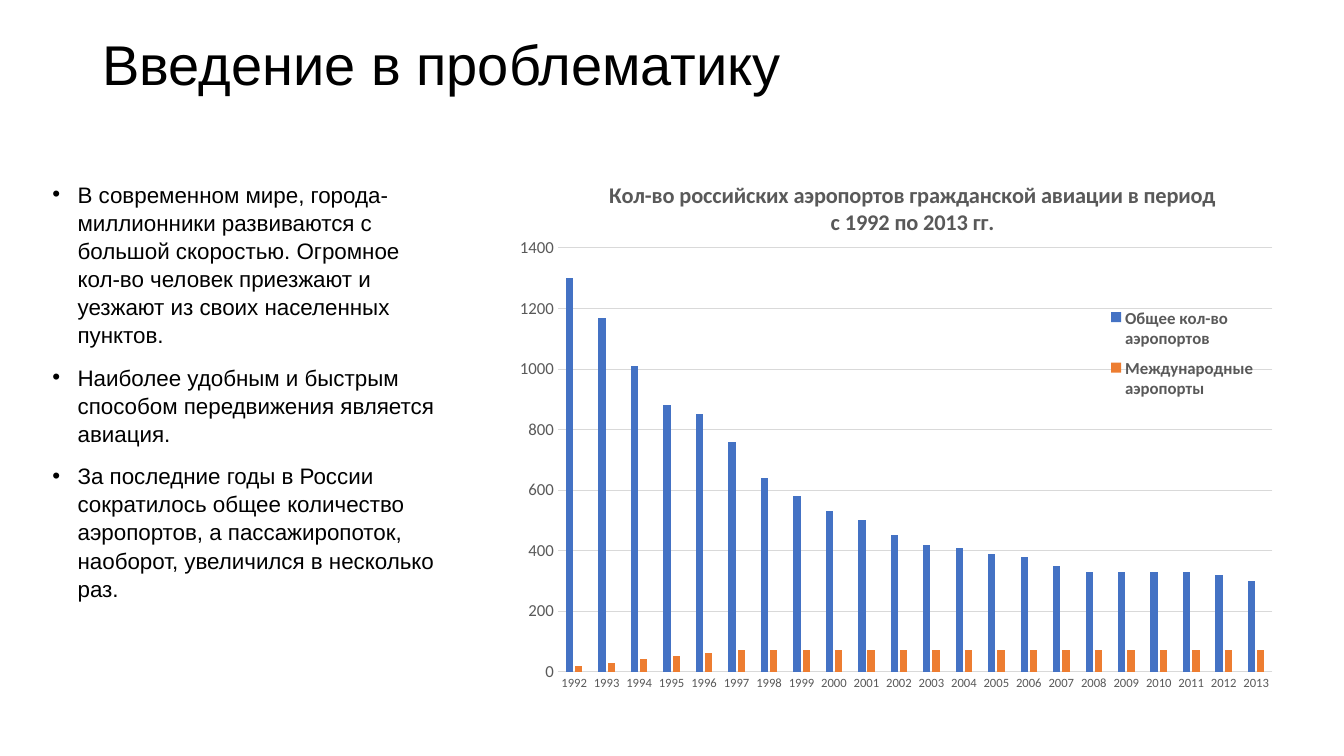
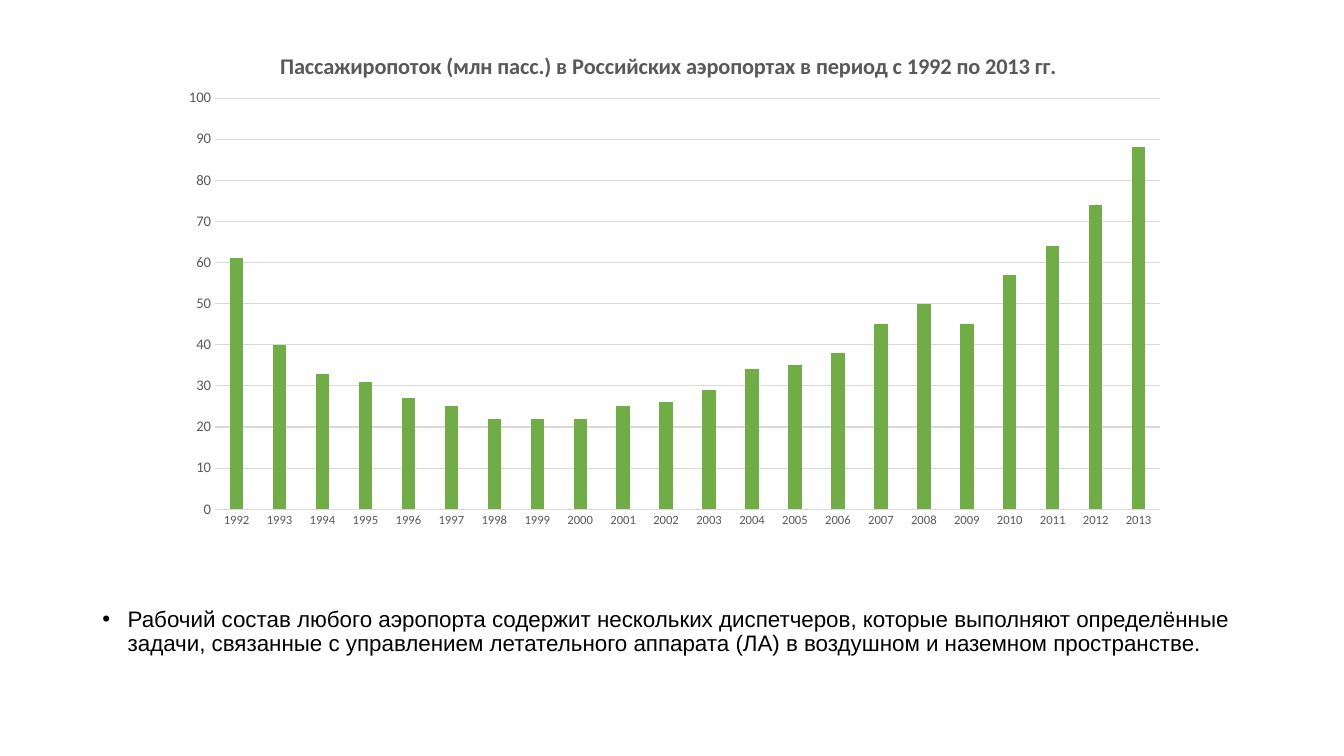
from lxml import etree
from pptx import Presentation
from pptx.chart import data as chart_data
from pptx.dml.color import RGBColor
from pptx.enum import chart as chart_enum, text
from pptx.oxml import ns
from pptx.util import Pt

BLACK = RGBColor(0x00, 0x00, 0x00)
GRAY = RGBColor(0x59, 0x59, 0x59)
LIGHT_GRAY = RGBColor(0xD9, 0xD9, 0xD9)
BLUE = RGBColor(0x44, 0x72, 0xC4)
ORANGE = RGBColor(0xED, 0x7D, 0x31)
GREEN = RGBColor(0x70, 0xAD, 0x47)

YEARS = [str(year) for year in range(1992, 2014)]
ALL_AIRPORTS = [1300, 1170, 1010, 880, 850, 760, 640, 580, 530, 500, 450,
                420, 410, 390, 380, 350, 330, 330, 330, 330, 320, 300]
INTERNATIONAL = [20, 30, 40, 50, 60] + [70] * 17
PASSENGERS = [61, 40, 33, 31, 27, 25, 22, 22, 22, 25, 26,
              29, 34, 35, 38, 45, 50, 45, 57, 64, 74, 88]


def style_font(font, name, size, color, bold=False):
    font.name, font.size, font.bold = name, Pt(size), bold
    font.color.rgb = color


def place_chart_part(part, index, **fractions):
    """Give a chart part a manual layout, in fractions of the chart's size."""
    for old in part.findall(ns.qn("c:layout")):
        part.remove(old)
    layout = etree.Element(ns.qn("c:layout"))
    manual = etree.SubElement(layout, ns.qn("c:manualLayout"))
    settings = {"xMode": "edge", "yMode": "edge", **fractions}
    if part.tag == ns.qn("c:plotArea"):
        settings = {"layoutTarget": "inner", **settings}
    for key, value in settings.items():
        etree.SubElement(manual, ns.qn(f"c:{key}")).set("val", str(value))
    part.insert(index, layout)


class Deck:
    TEXT_FONT = "Arial"
    CHART_FONT = "Calibri"
    INDENT = Pt(18)

    def __init__(self):
        self.deck = Presentation()
        self.deck.slide_width, self.deck.slide_height = Pt(960), Pt(540)
        self.page = None

    def add_page(self):
        self.page = self.deck.slides.add_slide(self.deck.slide_layouts[1])

    def fit(self, box, bounds, anchor):
        box.left, box.top, box.width, box.height = map(Pt, bounds)
        frame = box.text_frame
        frame.word_wrap = True
        frame.auto_size = text.MSO_AUTO_SIZE.NONE
        frame.vertical_anchor = anchor
        return frame

    def title(self, wording=None):
        """Fill the title, or remove it when the slide has none."""
        box = self.page.shapes.title
        if wording is None:
            box.element.getparent().remove(box.element)
            return
        frame = self.fit(box, (66, 14.4, 828, 67.7), text.MSO_ANCHOR.MIDDLE)
        frame.text = wording
        para = frame.paragraphs[0]
        para.alignment = text.PP_ALIGN.LEFT
        para.line_spacing = 0.9
        style_font(para.font, self.TEXT_FONT, 40, BLACK)

    def bullets(self, items, bounds, line_spacing):
        frame = self.fit(self.page.placeholders[1], bounds, text.MSO_ANCHOR.TOP)
        frame.text = "\n".join(items)
        for para in frame.paragraphs:
            para.line_spacing = line_spacing
            para.space_before = Pt(10)
            style_font(para.font, self.TEXT_FONT, 16, BLACK)
            properties = para._p.get_or_add_pPr()
            properties.set("marL", str(self.INDENT))
            properties.set("indent", str(-self.INDENT))
            etree.SubElement(properties, ns.qn("a:buChar")).set("char", "•")
            # The bullet must precede the default run properties.
            defaults = properties.find(ns.qn("a:defRPr"))
            if defaults is not None:
                properties.append(defaults)

    def column_chart(self, heading, series, bounds, maximum, step,
                     value_size, heading_at, plot_at):
        """Add a column chart; series is a list of (name, values, color)."""
        data = chart_data.CategoryChartData()
        data.categories = YEARS
        for name, values, _ in series:
            data.add_series(name, values)
        chart = self.page.shapes.add_chart(
            chart_enum.XL_CHART_TYPE.COLUMN_CLUSTERED, *map(Pt, bounds), data).chart
        style_font(chart.font, self.CHART_FONT, 10, GRAY)

        chart.has_title = True
        frame = chart.chart_title.text_frame
        frame.text = heading
        style_font(frame.paragraphs[0].font, self.CHART_FONT, 16, GRAY, True)
        place_chart_part(chart.chart_title._element, 1, **heading_at)

        chart.has_legend = False
        plot = chart.plots[0]
        plot.gap_width, plot.overlap = 219, -27
        plot.vary_by_categories = False
        for bars, (_, _, color) in zip(plot.series, series):
            bars.format.fill.solid()
            bars.format.fill.fore_color.rgb = color
        place_chart_part(chart._chartSpace.chart.plotArea, 0, **plot_at)

        years, amounts = chart.category_axis, chart.value_axis
        for axis, size in ((years, 9), (amounts, value_size)):
            axis.major_tick_mark = chart_enum.XL_TICK_MARK.NONE
            axis.minor_tick_mark = chart_enum.XL_TICK_MARK.NONE
            style_font(axis.tick_labels.font, self.CHART_FONT, size, GRAY)
        amounts.minimum_scale, amounts.maximum_scale = 0, maximum
        amounts.major_unit = step
        amounts.has_major_gridlines = True
        amounts.format.line.fill.background()
        for line in (years.format.line, amounts.major_gridlines.format.line):
            line.color.rgb = LIGHT_GRAY
            line.width = Pt(0.75)
        return chart

    def legend(self, chart, **fractions):
        chart.has_legend = True
        legend = chart.legend
        legend.position = chart_enum.XL_LEGEND_POSITION.RIGHT
        legend.include_in_layout = True
        style_font(legend.font, self.CHART_FONT, 12, GRAY, True)
        place_chart_part(legend._element, 1, **fractions)

    def airports_page(self):
        self.add_page()
        self.title("Введение в проблематику")
        self.bullets([
            "В современном мире, города-миллионники развиваются с большой скоростью. "
            "Огромное кол-во человек приезжают и уезжают из своих населенных пунктов.",
            "Наиболее удобным и быстрым способом передвижения является авиация.",
            "За последние годы в России сократилось общее количество аэропортов, "
            "а пассажиропоток, наоборот, увеличился в несколько раз.",
        ], (30.25, 124.5, 292.5, 353), 1.05)
        chart = self.column_chart(
            "Кол-во российских аэропортов гражданской авиации в период с 1992 по 2013 гг.",
            [("Общее кол-во аэропортов", ALL_AIRPORTS, BLUE),
             ("Международные аэропорты", INTERNATIONAL, ORANGE)],
            (359.3, 101.5, 560.9, 398.2), 1400, 200, 12,
            {"x": 0.13, "y": 0.06}, {"x": 0.07, "y": 0.19, "w": 0.91, "h": 0.76})
        self.legend(chart, x=0.76, y=0.28, w=0.21, h=0.2)

    def passengers_page(self):
        self.add_page()
        self.title()
        self.column_chart(
            "Пассажиропоток (млн пасс.) в Российских аэропортах в период с 1992 по 2013 гг.",
            [("Пассажиропоток", PASSENGERS, GREEN)],
            (117.4, 18.7, 725.8, 367.2), 100, 10, 10.5,
            {"x": 0.11, "y": 0.04}, {"x": 0.05, "y": 0.14, "w": 0.93, "h": 0.8})
        self.bullets([
            "Рабочий состав любого аэропорта содержит нескольких диспетчеров, которые "
            "выполняют определённые задачи, связанные с управлением летательного "
            "аппарата (ЛА) в воздушном и наземном пространстве.",
        ], (66, 430.5, 828, 82), 0.9)


def main():
    deck = Deck()
    deck.airports_page()
    deck.passengers_page()
    deck.deck.save("out.pptx")


if __name__ == "__main__":
    main()
